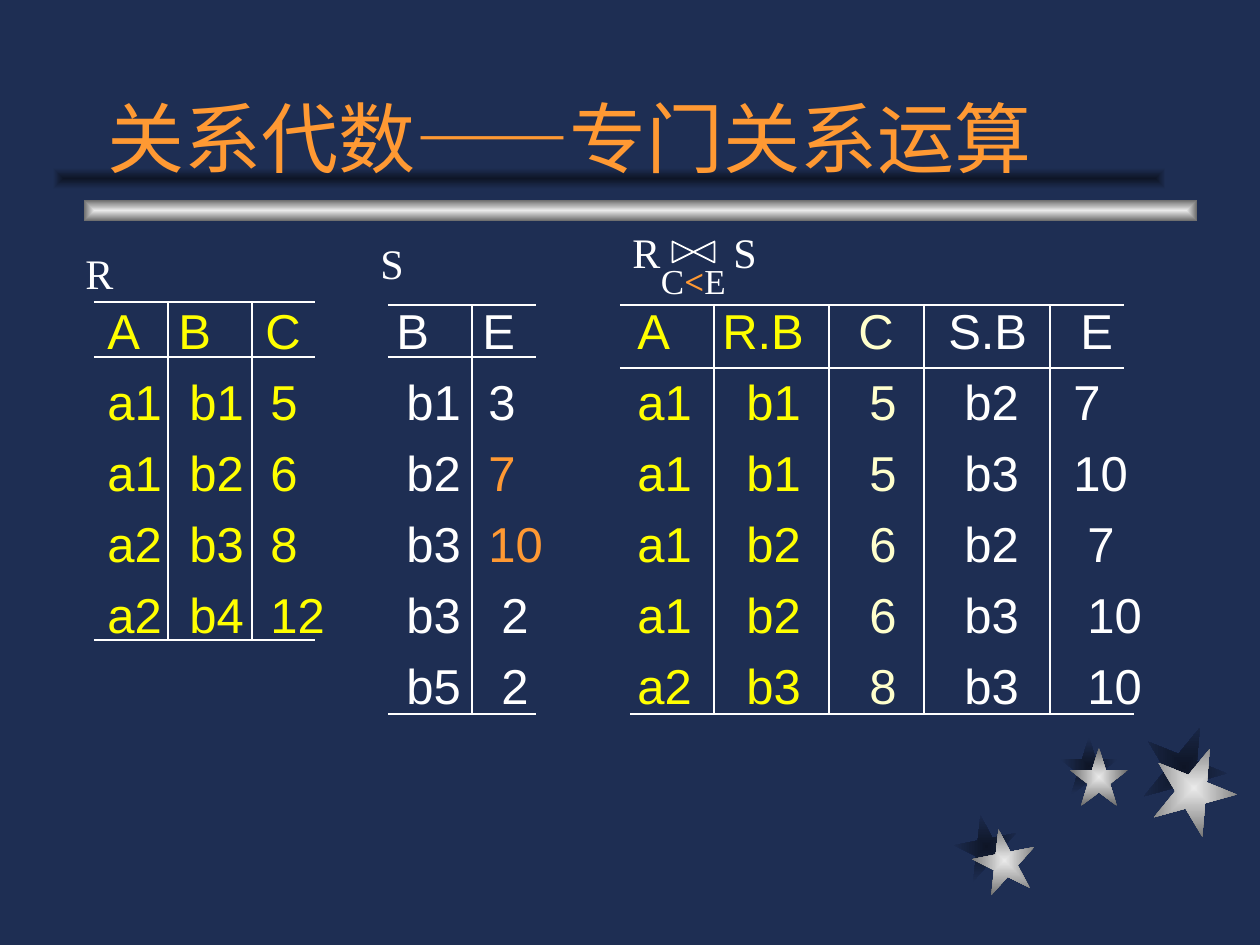
from lxml.etree import SubElement
from pptx import Presentation
from pptx.dml.color import RGBColor
from pptx.enum.shapes import MSO_CONNECTOR, MSO_SHAPE
from pptx.enum.text import MSO_ANCHOR
from pptx.oxml.ns import qn
from pptx.util import Emu, Pt

PX = 914400 // 126
theme = dict(
    back="1E2E53", dark="0E1526", light="EAEAEA", grey="6C6C6C",
    white="FFFFFF", gold="FFFF00", cream="FFFFCC", orange="FF9933",
    title=44, body=28, label=24, sub=20, gap=7,
    sans="Arial", serif="Times New Roman",
)

deck = Presentation()
deck.slide_width, deck.slide_height = Emu(1260 * PX), Emu(945 * PX)
slide = deck.slides.add_slide(deck.slide_layouts[6])
slide.background.fill.solid()
slide.background.fill.fore_color.rgb = RGBColor.from_string(theme["back"])
shapes = slide.shapes


def write(par, text, size="label", font="serif", color="white", bold=False, stops=()):
    run = par.add_run()
    run.text = text
    run.font.size = Pt(theme[size])
    run.font.name = theme[font]
    run.font.color.rgb = RGBColor.from_string(theme[color])
    run.font.bold = bold
    if stops:
        tabs = SubElement(par._p.get_or_add_pPr(), qn("a:tabLst"))
        for x in stops:
            SubElement(tabs, qn("a:tab"), pos=str(x * PX), algn="l")


def glow(kind, x, y, wide, high, inner, outer, turn=0):
    shape = shapes.add_shape(kind, *(Emu(v * PX) for v in (x, y, wide, high)))
    shape.rotation = turn
    shape.shadow.inherit = False
    shape.line.fill.background()
    shape.fill.gradient()
    for stop, name in zip(shape.fill.gradient_stops, (inner, outer)):
        stop.color.rgb = RGBColor.from_string(theme[name])
    # Spread the gradient from the centre
    grad = shape._element.spPr.find(qn("a:gradFill"))
    grad.remove(grad.find(qn("a:lin")))
    ray = SubElement(grad, qn("a:path"), path="rect")
    SubElement(ray, qn("a:fillToRect"), l="50000", t="50000", r="50000", b="50000")


# Stars: shadows first, then the bright ones
for inner, outer, stars in (
    ("dark", "back", ((955, 815, 63, 349), (1060, 737, 58, 0), (1142, 725, 84, 22))),
    ("light", "grey", ((973, 829, 63, 349), (1070, 748, 58, 0), (1152, 746, 84, 22))),
):
    for x, y, side, turn in stars:
        glow(MSO_SHAPE.STAR_5_POINT, x, y, side, side, inner, outer, turn)

# Bar below the title
glow(MSO_SHAPE.RECTANGLE, 84, 200, 1113, 21, "light", "grey")
glow(MSO_SHAPE.RECTANGLE, 53, 168, 1113, 21, "dark", "back")

# Text boxes
frames = {}
for name, *box in (
    ("title", 95, 32, 1071, 157), ("body", 95, 294, 1071, 567),
    ("R", 73, 241, 84, 63), ("S", 368, 231, 84, 63),
    ("join", 620, 220, 189, 63), ("sub", 661, 259, 73, 42),
):
    frame = shapes.add_textbox(*(Emu(v * PX) for v in box)).text_frame
    frame.word_wrap = True
    frames[name] = frame

# Title
frames["title"].vertical_anchor = MSO_ANCHOR.BOTTOM
head = frames["title"].paragraphs[0]
write(head, "关系代数——", size="title", color="orange")
write(head, "专门关系运算", size="title", font="sans", color="orange")

# Rows of the three relations, on shared tab stops
top = (71, 158, 289, 375, 530, 615, 751, 841, 973)
low = (82, 163, 299, 381, 530, 639, 762, 857, 966)
mid = low[:8] + (980,)
end = low[:3] + (394,) + mid[4:]
rows = (
    (top, "A\tB\tC", "B", "E", "white", "A\tR.B", "C", "S.B\tE"),
    (low, "a1\tb1\t5", "b1", "3", "white", "a1\tb1", "5", "b2\t7"),
    (low, "a1\tb2\t6", "b2", "7", "orange", "a1\tb1", "5", "b3\t10"),
    (mid, "a2\tb3\t8", "b3", "10", "orange", "a1\tb2", "6", "b2\t7"),
    (end, "a2\tb4\t12", "b3", "2", "white", "a1\tb2", "6", "b3\t10"),
    (end, "\t\t", "b5", "2", "white", "a2\tb3", "8", "b3\t10"),
)
body = frames["body"]
for i, (stops, left, key, val, tint, pair, num, tail) in enumerate(rows):
    par = body.add_paragraph() if i else body.paragraphs[0]
    par.space_before = Pt(theme["gap"])
    write(par, left, size="body", font="sans", color="gold", stops=stops)
    for text, color in (
        (key, "white"), (val, tint), (pair, "gold"), (num, "cream"), (tail, "white"),
    ):
        write(par, "\t" + text, size="body", font="sans", color=color)

# Rules: left, right, top, head, foot, shift of the foot, column lines
for x1, x2, y1, y2, y3, shift, cols in (
    (94, 315, 302, 357, 640, 0, (168, 252)),
    (388, 536, 305, 357, 714, 0, (472,)),
    (620, 1124, 305, 368, 714, 10, (714, 829, 924, 1050)),
):
    lines = [(x1, y1, x2, y1), (x1, y2, x2, y2), (x1 + shift, y3, x2 + shift, y3)]
    lines += [(x, y1, x, y3) for x in cols]
    for ends in lines:
        line = shapes.add_connector(MSO_CONNECTOR.STRAIGHT, *(Emu(v * PX) for v in ends))
        line.line.color.rgb = RGBColor.from_string(theme["white"])
        line.line.width = Pt(1)
        SubElement(line._element.spPr, qn("a:effectLst"))

# Relation names
for name in "RS":
    write(frames[name].paragraphs[0], name)
write(frames["join"].paragraphs[0], "R\tS", stops=(101,))

# Join sign and its condition
bow = shapes.add_shape(
    MSO_SHAPE.FLOWCHART_COLLATE, *(Emu(v * PX) for v in (683, 231, 21, 42)))
bow.rotation = 90
bow.shadow.inherit = False
bow.fill.background()
bow.line.color.rgb = RGBColor.from_string(theme["white"])
bow.line.width = Pt(1)
sub = frames["sub"]
sub.margin_left = sub.margin_right = sub.margin_top = sub.margin_bottom = 0
for text, color in (("C", "white"), ("<", "orange"), ("E", "white")):
    write(sub.paragraphs[0], text, size="sub", color=color, bold=text == "<")

deck.save("out.pptx")
